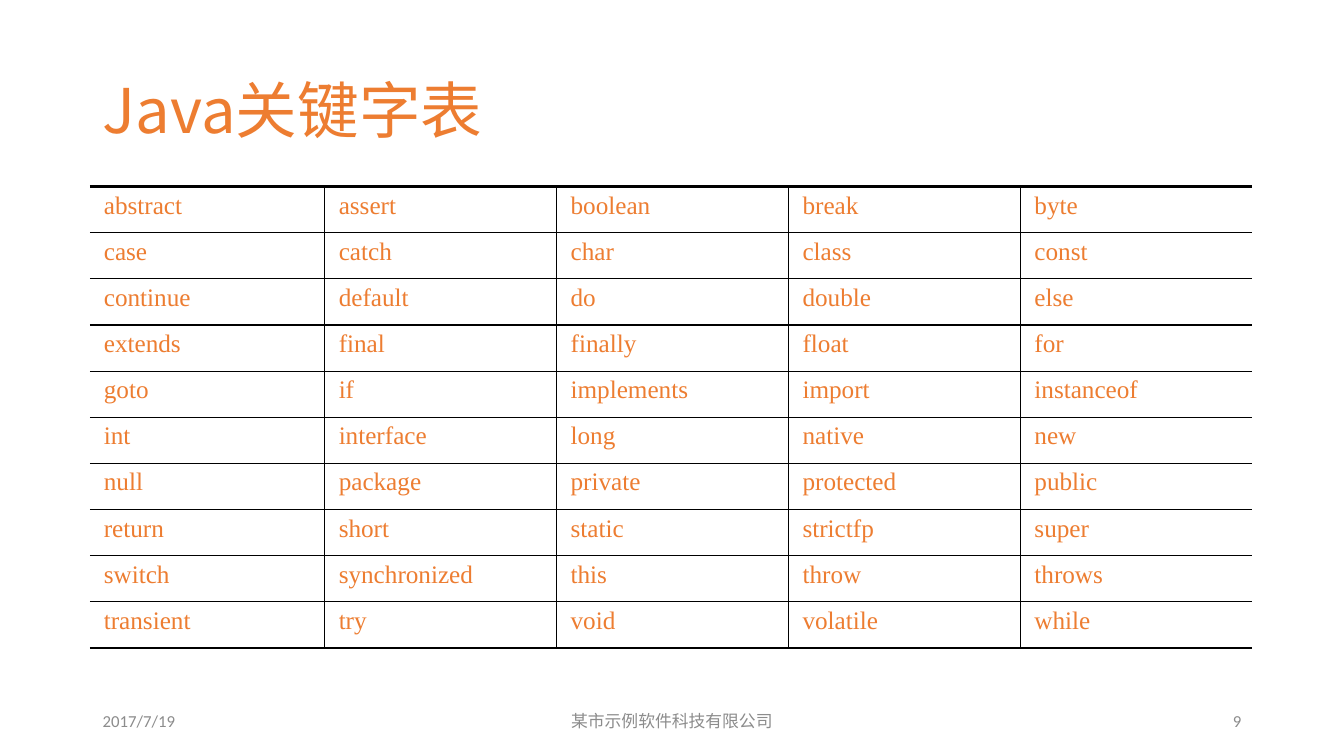
from lxml import etree
from pptx import Presentation
from pptx.dml.color import RGBColor
from pptx.enum.text import MSO_ANCHOR, PP_ALIGN
from pptx.oxml.ns import qn
from pptx.util import Inches, Pt

LEFT, CENTER, RIGHT = PP_ALIGN.LEFT, PP_ALIGN.CENTER, PP_ALIGN.RIGHT
MIDDLE = MSO_ANCHOR.MIDDLE

ORANGE = RGBColor(0xED, 0x7D, 0x31)
GRAY = RGBColor(0x8C, 0x8C, 0x8C)
BLACK = RGBColor(0, 0, 0)

SANS, CJK, SERIF = "Calibri", "Noto Sans CJK SC", "Times New Roman"

SLIDE_WIDTH, SLIDE_HEIGHT = 13.33, 7.5
MARGIN = 0.92
THIN, THICK = 1, 2.25
FIRST_COLUMN, OTHER_COLUMN = 2.33, 2.3

KEYWORDS = [row.split() for row in (
    "abstract assert boolean break byte",
    "case catch char class const",
    "continue default do double else",
    "extends final finally float for",
    "goto if implements import instanceof",
    "int interface long native new",
    "null package private protected public",
    "return short static strictfp super",
    "switch synchronized this throw throws",
    "transient try void volatile while",
)]


def style_paragraph(paragraph, size, font_name, color):
    """Set the font for Latin and East Asian characters alike."""
    font = paragraph.font
    font.size = Pt(size)
    font.color.rgb = color
    font.name = font_name
    defaults = paragraph._p.pPr.find(qn("a:defRPr"))
    etree.SubElement(defaults, qn("a:ea"), typeface=font_name)


def add_text(slide, box, text, size, font_name, color, alignment=LEFT):
    shape = slide.shapes.add_textbox(*map(Inches, box))
    frame = shape.text_frame
    frame.word_wrap = True
    frame.vertical_anchor = MIDDLE
    paragraph = frame.paragraphs[0]
    paragraph.text = text
    paragraph.alignment = alignment
    style_paragraph(paragraph, size, font_name, color)
    return paragraph


def add_title(slide, box):
    paragraph = add_text(slide, box, "Java关键字表", 44, CJK, ORANGE)
    paragraph.line_spacing = 0.9


def add_footer(slide, box):
    """Place date, company and page number at the left, middle and right."""
    left, top, width, height = box
    side, middle = 3, 4.5
    parts = (
        (0, side, "2017/7/19", SANS, LEFT),
        ((width - middle) / 2, middle, "某市示例软件科技有限公司", CJK, CENTER),
        (width - side, side, "9", SANS, RIGHT),
    )
    for offset, part_width, text, font_name, alignment in parts:
        add_text(slide, (left + offset, top, part_width, height),
                 text, 12, font_name, GRAY, alignment)


def set_borders(cell, widths):
    """Draw left, right, top and bottom borders; a width of 0 hides one."""
    properties = cell._tc.get_or_add_tcPr()
    for index, (side, width) in enumerate(zip("LRTB", widths)):
        line = etree.Element(qn("a:ln" + side), w=str(Pt(width)))
        if width:
            fill = etree.SubElement(line, qn("a:solidFill"))
            etree.SubElement(fill, qn("a:srgbClr"), val=str(BLACK))
        else:
            etree.SubElement(line, qn("a:noFill"))
        properties.insert(index, line)


def fill_cell(cell, word):
    cell.fill.background()
    cell.margin_left = cell.margin_right = Inches(0.14)
    cell.margin_top = cell.margin_bottom = Inches(0.05)
    paragraph = cell.text_frame.paragraphs[0]
    paragraph.text = word
    style_paragraph(paragraph, 18, SERIF, ORANGE)
    spacing = etree.Element(qn("a:spcBef"))
    etree.SubElement(spacing, qn("a:spcPct"), val="20000")
    paragraph._p.pPr.insert(0, spacing)


def add_keyword_table(slide, box):
    row_count, column_count = len(KEYWORDS), len(KEYWORDS[0])
    frame = slide.shapes.add_table(row_count, column_count, *map(Inches, box))
    table = frame.table
    table.first_row = table.horz_banding = False
    for index, column in enumerate(table.columns):
        column.width = Inches(OTHER_COLUMN if index else FIRST_COLUMN)
    for row_index, words in enumerate(KEYWORDS):
        for column_index, word in enumerate(words):
            cell = table.cell(row_index, column_index)
            fill_cell(cell, word)
            set_borders(cell, (
                THIN if column_index else 0,
                THIN if column_index < column_count - 1 else 0,
                THIN if row_index else THICK,
                THIN if row_index < row_count - 1 else THICK,
            ))


def main():
    presentation = Presentation()
    presentation.slide_width = Inches(SLIDE_WIDTH)
    presentation.slide_height = Inches(SLIDE_HEIGHT)
    slide = presentation.slides.add_slide(presentation.slide_layouts[6])
    add_title(slide, (MARGIN, 0.4, 8.69, 1.45))
    add_footer(slide, (MARGIN, 6.95, SLIDE_WIDTH - 2 * MARGIN, 0.4))
    add_keyword_table(slide, (0.89, 1.85, 11.53, 4.58))
    presentation.save("out.pptx")


if __name__ == "__main__":
    main()
